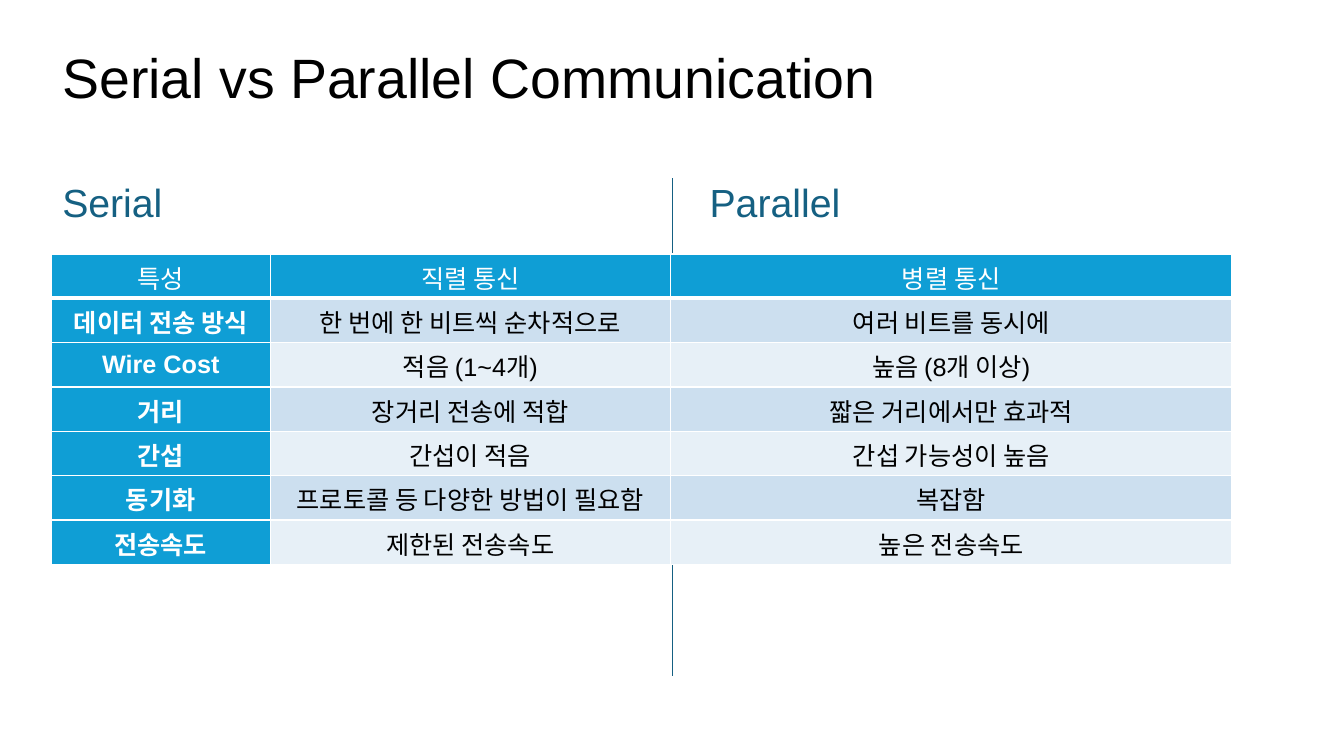
from dataclasses import dataclass

import pptx
import pptx.dml.color
import pptx.enum.shapes
import pptx.enum.text
import pptx.oxml
import pptx.oxml.ns
import pptx.util

Inches = pptx.util.Inches
ANCHOR = pptx.enum.text.MSO_ANCHOR
ALIGN = pptx.enum.text.PP_ALIGN


@dataclass(frozen=True)
class Theme:
    font: str = "Arial"
    black: str = "000000"
    white: str = "FFFFFF"
    accent: str = "156082"
    header: str = "0F9ED5"
    bands: tuple = ("CCDFEF", "E7F0F7")
    title_size: float = 39.6
    heading_size: float = 28
    cell_size: float = 18


THEME = Theme()

COLUMN_WIDTHS = (2.17, 3.97, 5.57)
ROW_HEIGHT = 0.44
COMPARISON = (
    ("특성", "직렬 통신", "병렬 통신"),
    ("데이터 전송 방식", "한 번에 한 비트씩 순차적으로", "여러 비트를 동시에"),
    ("Wire Cost", "적음 (1~4개)", "높음 (8개 이상)"),
    ("거리", "장거리 전송에 적합", "짧은 거리에서만 효과적"),
    ("간섭", "간섭이 적음", "간섭 가능성이 높음"),
    ("동기화", "프로토콜 등 다양한 방법이 필요함", "복잡함"),
    ("전송속도", "제한된 전송속도", "높은 전송속도"),
)


def rgb(color):
    return pptx.dml.color.RGBColor.from_string(color)


def style_text(para, size, color, bold=False):
    for span in para.runs:
        span.font.name = THEME.font
        span.font.size = pptx.util.Pt(size)
        span.font.color.rgb = rgb(color)
        span.font.bold = bold


def add_text(page, text, left, top, width, height, size, color, anchor=ANCHOR.TOP):
    box = page.shapes.add_textbox(Inches(left), Inches(top), Inches(width), Inches(height))
    frame = box.text_frame
    frame.word_wrap = True
    frame.vertical_anchor = anchor
    frame.text = text
    para = frame.paragraphs[0]
    para.line_spacing = 0.9
    style_text(para, size, color)


def add_divider(page, x, top, bottom):
    line = page.shapes.add_connector(
        pptx.enum.shapes.MSO_CONNECTOR.STRAIGHT,
        Inches(x), Inches(top), Inches(x), Inches(bottom))
    line.line.color.rgb = rgb(THEME.accent)
    line.line.width = pptx.util.Pt(1)
    properties = line._element.spPr
    properties.append(properties.makeelement(pptx.oxml.ns.qn("a:effectLst"), {}))


def set_borders(cell, left=1, right=1, top=1, bottom=1):
    """Draw white borders, with widths in points, ahead of the cell's fill."""
    properties = cell._tc.get_or_add_tcPr()
    widths = {"lnL": left, "lnR": right, "lnT": top, "lnB": bottom}
    for index, (side, width) in enumerate(widths.items()):
        border = pptx.oxml.parse_xml(
            f'<a:{side} {pptx.oxml.ns.nsdecls("a")} w="{pptx.util.Pt(width)}">'
            f'<a:solidFill><a:srgbClr val="{THEME.white}"/></a:solidFill></a:{side}>')
        properties.insert(index, border)


def fill_cell(cell, text, row, column):
    is_header = row == 0
    is_label = is_header or column == 0
    cell.text = text
    cell.vertical_anchor = ANCHOR.TOP if is_header else ANCHOR.MIDDLE
    cell.fill.solid()
    cell.fill.fore_color.rgb = rgb(THEME.header if is_label else THEME.bands[(row - 1) % 2])
    set_borders(cell, top=3 if row == 1 else 1, bottom=3 if is_header else 1)
    para = cell.text_frame.paragraphs[0]
    para.alignment = ALIGN.CENTER
    style_text(para, THEME.cell_size, THEME.white if is_label else THEME.black,
               bold=is_label and not is_header)


def add_comparison(page, left, top):
    frame = page.shapes.add_table(
        len(COMPARISON), len(COLUMN_WIDTHS), Inches(left), Inches(top),
        Inches(sum(COLUMN_WIDTHS)), Inches(ROW_HEIGHT * len(COMPARISON)))
    table = frame.table
    for column, width in zip(table.columns, COLUMN_WIDTHS):
        column.width = Inches(width)
    for row, texts in enumerate(COMPARISON):
        for column, text in enumerate(texts):
            fill_cell(table.cell(row, column), text, row, column)


def main():
    deck = pptx.Presentation()
    deck.slide_width, deck.slide_height = Inches(13.33), Inches(7.5)
    page = deck.slides.add_slide(deck.slide_layouts[6])
    add_divider(page, 6.67, 1.77, 6.71)
    add_text(page, "Serial vs Parallel Communication", 0.52, 0.52, 12.28, 0.56,
             THEME.title_size, THEME.black, ANCHOR.MIDDLE)
    for heading, left in (("Serial", 0.52), ("Parallel", 6.94)):
        add_text(page, heading, left, 1.77, 5.86, 0.61, THEME.heading_size, THEME.accent)
    add_comparison(page, 0.51, 2.52)
    deck.save("out.pptx")


if __name__ == "__main__":
    main()
